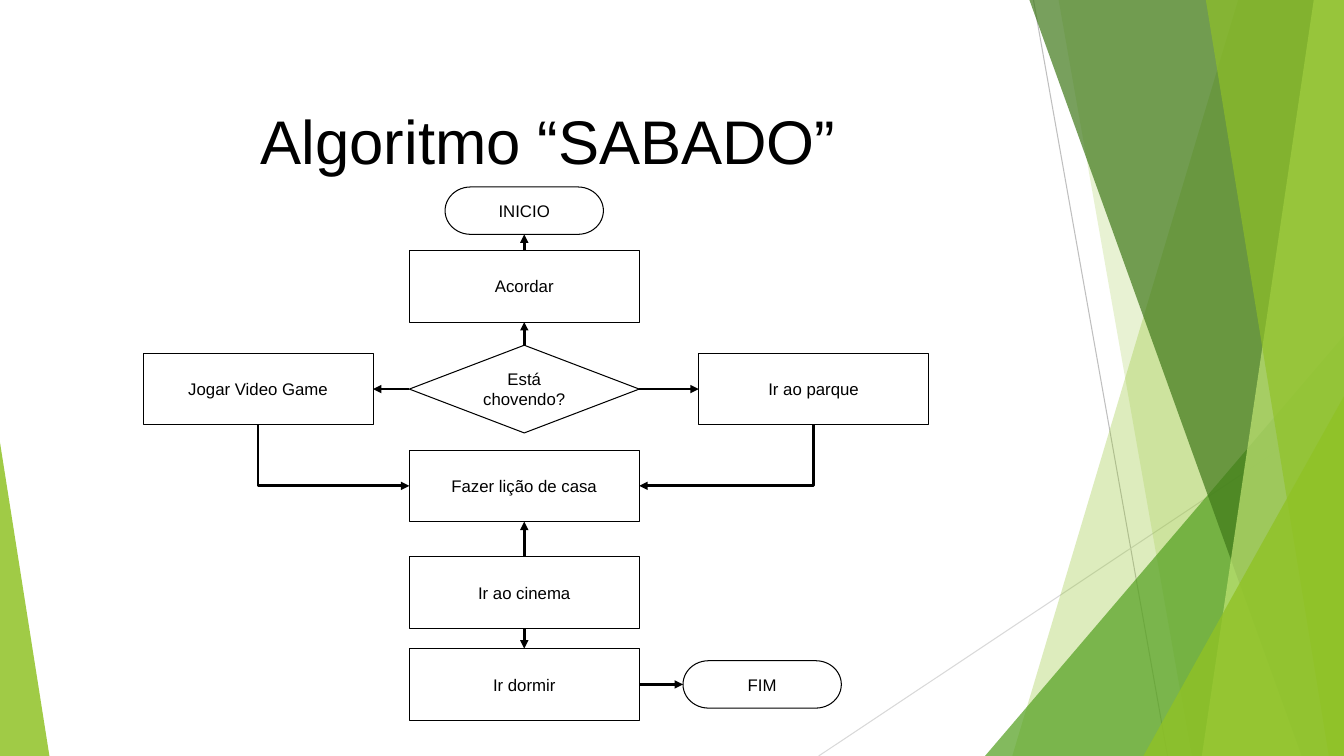
import pptx
import pptx.dml.color
import pptx.enum.shapes
import pptx.enum.text
import pptx.oxml
import pptx.oxml.ns
import pptx.util
from pptx.util import Inches

KIND = pptx.enum.shapes.MSO_SHAPE
LINK = pptx.enum.shapes.MSO_CONNECTOR
ALIGN = pptx.enum.text.PP_ALIGN
MID = pptx.enum.text.MSO_ANCHOR.MIDDLE
TOP, LEFT, FOOT, RIGHT = range(4)
WIDE, HIGH = 13.33, 7.5

SIZES = {
    KIND.FLOWCHART_TERMINATOR: (1.57, 0.47),
    KIND.FLOWCHART_PROCESS: (2.28, 0.71),
    KIND.FLOWCHART_DECISION: (2.28, 0.87),
}
STEPS = [
    ("INICIO", KIND.FLOWCHART_TERMINATOR, 3.78, 0.24),
    ("Acordar", KIND.FLOWCHART_PROCESS, 3.78, 0.99),
    ("Está chovendo?", KIND.FLOWCHART_DECISION, 3.78, 2.01),
    ("Ir ao parque", KIND.FLOWCHART_PROCESS, 6.65, 2.01),
    ("Fazer lição de casa", KIND.FLOWCHART_PROCESS, 3.78, 2.97),
    ("Ir ao cinema", KIND.FLOWCHART_PROCESS, 3.78, 4.03),
    ("FIM", KIND.FLOWCHART_TERMINATOR, 6.14, 4.94),
    ("Jogar Video Game", KIND.FLOWCHART_PROCESS, 1.14, 2.01),
    ("Ir dormir", KIND.FLOWCHART_PROCESS, 3.78, 4.94),
]
LINKS = [
    ("Está chovendo?", RIGHT, "Ir ao parque", LEFT),
    ("Está chovendo?", LEFT, "Jogar Video Game", RIGHT),
    ("Acordar", TOP, "INICIO", FOOT),
    ("Está chovendo?", TOP, "Acordar", FOOT),
    ("Ir ao cinema", TOP, "Fazer lição de casa", FOOT),
    ("Ir ao cinema", FOOT, "Ir dormir", TOP),
    ("Ir dormir", RIGHT, "FIM", LEFT),
]
BENDS = [
    ("Ir ao parque", FOOT, "Fazer lição de casa", RIGHT),
    ("Jogar Video Game", FOOT, "Fazer lição de casa", LEFT),
]
RAYS = [(10.25, 0, 11.58, HIGH, "BFBFBF"), (WIDE, 4.03, 8.12, HIGH, "D9D9D9")]
SLABS = [
    (12.28, 10.04, "90C226", 30),
    (10.5, 11.82, "90C226", 20),
    (9.77, 3.33, "54A021", 72),
    (10.21, 12.91, "3F7819", 70),
    (13.03, 11.92, "C0E474", 70),
    (11.96, 13.18, "90C226", 65),
    (11.34, 3.93, "90C226", 80),
]


def tint(code):
    """Return the colour of a hex string."""
    return pptx.dml.color.RGBColor.from_string(code)


def put(item, vals):
    """Set each attribute of a dict on the item."""
    for name, val in vals.items():
        setattr(item, name, val)


def add_tag(root, name, **vals):
    """Append a drawing element with attributes."""
    node = pptx.oxml.parse_xml(f"<a:{name} {pptx.oxml.ns.nsdecls('a')}/>")
    for key, val in vals.items():
        node.set(key, str(val))
    root.append(node)


def write(shape, text, size, inset):
    """Write centred text in a shape."""
    frame = shape.text_frame
    put(frame, {"text": text, "word_wrap": True, "vertical_anchor": MID,
                "margin_left": Inches(inset), "margin_right": Inches(inset),
                "margin_top": Inches(inset / 2),
                "margin_bottom": Inches(inset / 2)})
    para = frame.paragraphs[0]
    para.alignment = ALIGN.CENTER
    put(para.font, {"name": "Arial", "size": pptx.util.Pt(size)})
    para.font.color.rgb = tint("000000")


def add_line(slide, ends, code, size):
    """Draw a plain straight line."""
    line = slide.shapes.add_connector(LINK.STRAIGHT, *map(Inches, ends))
    line.line.color.rgb = tint(code)
    line.line.width = pptx.util.Pt(size)
    add_tag(line._element.spPr, "effectLst")
    return line


def add_slab(slide, points, code, clear):
    """Draw a filled see-through outline."""
    spots = [(Inches(x), Inches(y)) for x, y in points]
    maker = slide.shapes.build_freeform(*spots[0])
    maker.add_line_segments(spots[1:], close=True)
    slab = maker.convert_to_shape()
    slab.shadow.inherit = False
    slab.fill.solid()
    slab.fill.fore_color.rgb = tint(code)
    slab.line.fill.background()
    node = slab._element.spPr.find(".//" + pptx.oxml.ns.qn("a:srgbClr"))
    add_tag(node, "alpha", val=clear * 1000)


def add_decor(slide, left, top, wide, high):
    """Draw the green facets at both sides of the box."""
    end, base = left + wide, top + high
    for x, y, to_x, to_y, code in RAYS:
        add_line(slide, (left + x, top + y, left + to_x, top + to_y), code, 0.75)
    for start, other, code, clear in SLABS:
        if other < high:
            points = [(left + start, base), (end, top + other), (end, base)]
        else:
            points = [(left + start, top), (end, top), (end, base),
                      (left + other, base)]
        add_slab(slide, points, code, clear)
    add_slab(slide, [(left, base), (left, top + 4.39), (left + 0.49, base)],
             "90C226", 85)


def add_title(slide, left, top, wide, high):
    """Place the title in front of the facets."""
    title = slide.shapes.title
    slide.shapes._spTree.append(title._element)
    put(title, {"left": Inches(left), "top": Inches(top),
                "width": Inches(wide), "height": Inches(high)})
    write(title, "Algoritmo “SABADO”", 44, 0)


def add_step(slide, text, kind, mid_x, mid_y):
    """Draw one step centred on a point."""
    wide, high = SIZES[kind]
    box = (mid_x - wide / 2, mid_y - high / 2, wide, high)
    step = slide.shapes.add_shape(kind, *map(Inches, box))
    step.shadow.inherit = False
    step.fill.solid()
    step.fill.fore_color.rgb = tint("FFFFFF")
    step.line.color.rgb = tint("000000")
    step.line.width = 0
    write(step, text, 12, 0.1)
    return step


def join(slide, first, out, last, into):
    """Join two steps with an arrow."""
    arrow = add_line(slide, (0, 0, 0, 0), "000000", 0)
    arrow.begin_connect(first, out)
    arrow.end_connect(last, into)
    add_tag(arrow.line._get_or_add_ln(), "tailEnd", type="triangle")
    return arrow


def bend(arrow):
    """Turn an arrow into a corner that goes down, then across."""
    x, to_x = arrow.begin_x, arrow.end_x
    y, to_y = arrow.begin_y, arrow.end_y
    wide, high = to_y - y, abs(to_x - x)
    put(arrow, {"left": (x + to_x - wide) // 2, "top": (y + to_y - high) // 2,
                "width": wide, "height": high})
    props = arrow._element.spPr
    props.prstGeom.set("prst", "bentConnector2")
    east = to_x > x
    turn = {"rot": "16200000" if east else "5400000",
            "flipH": "1" if east else "0", "flipV": "0"}
    for name, val in turn.items():
        props.xfrm.set(name, val)


def add_flow(slide, left, top):
    """Draw the flow chart from its top left corner."""
    steps = {text: add_step(slide, text, kind, left + x, top + y)
             for text, kind, x, y in STEPS}
    for first, out, last, into in LINKS:
        join(slide, steps[first], out, steps[last], into)
    for first, out, last, into in BENDS:
        bend(join(slide, steps[first], out, steps[last], into))


def main():
    """Build the slide and save it."""
    deck = pptx.Presentation()
    put(deck, {"slide_width": Inches(WIDE), "slide_height": Inches(HIGH)})
    slide = deck.slides.add_slide(deck.slide_layouts[5])
    add_decor(slide, 0, 0, WIDE, HIGH)
    add_title(slide, 0.74, 0.67, 9.4, 1.44)
    add_flow(slide, 1.42, 1.85)
    deck.save("out.pptx")


if __name__ == "__main__":
    main()
